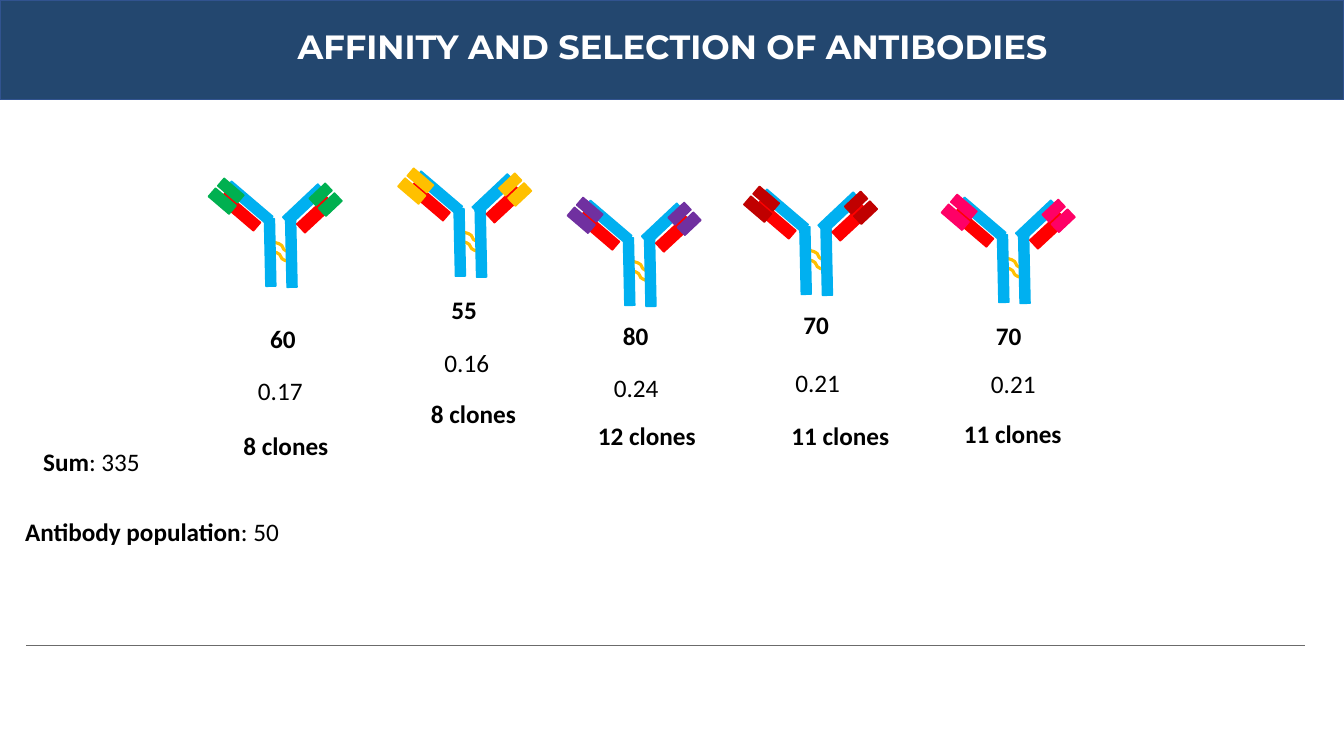
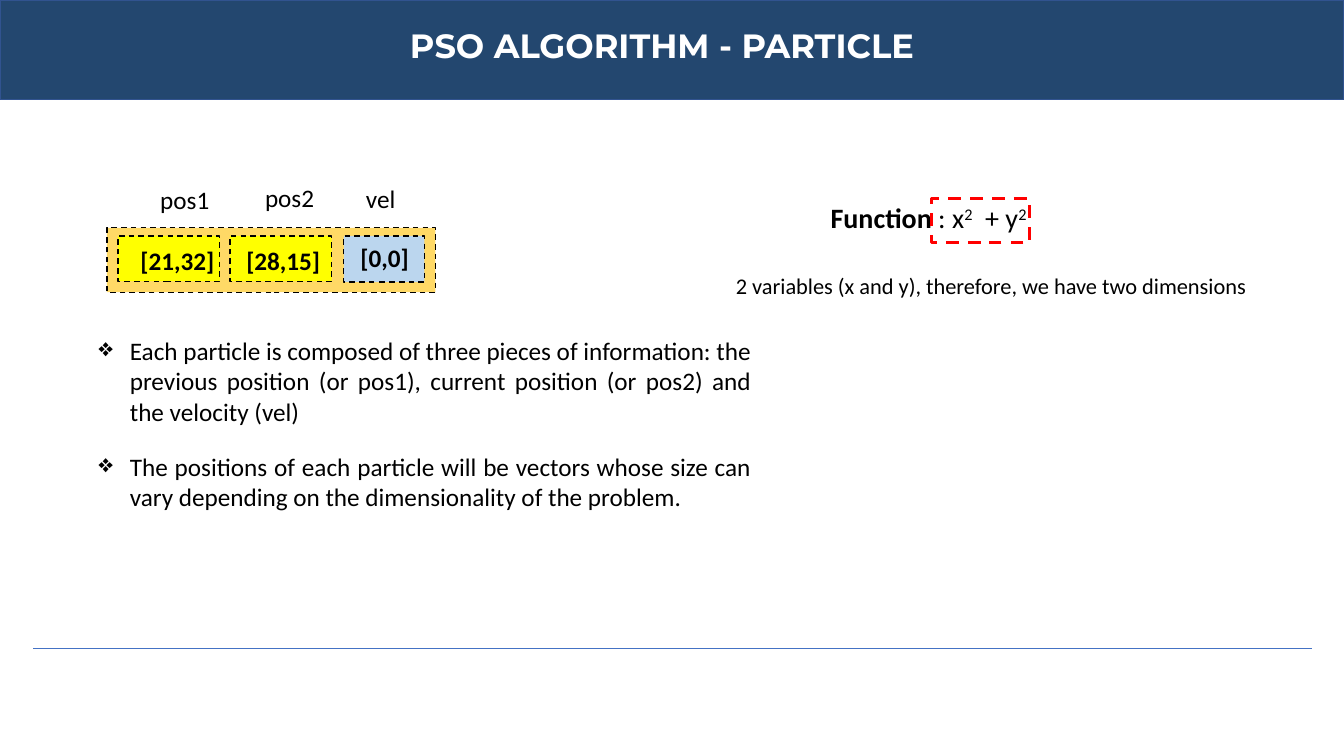
import pptx
import pptx.util
import pptx.dml.color
import pptx.enum.dml
import pptx.enum.shapes
import pptx.enum.text
import pptx.oxml
import pptx.oxml.ns
from lxml import etree

RGB = pptx.dml.color.RGBColor
SHAPE = pptx.enum.shapes.MSO_SHAPE
LINK = pptx.enum.shapes.MSO_CONNECTOR
ALIGN = pptx.enum.text.PP_ALIGN
FIT = pptx.enum.text.MSO_AUTO_SIZE
DASH = pptx.enum.dml.MSO_LINE.DASH
Pt = pptx.util.Pt
qn = pptx.oxml.ns.qn

# Shared look; 100 px to the inch
PX = 9144
NAVY, NAVY_EDGE = RGB(0x23, 0x47, 0x6F), RGB(0x31, 0x53, 0x8F)
BLACK, WHITE = RGB(0, 0, 0), RGB(255, 255, 255)
GREY, BLUE = RGB(0x6B, 0x6B, 0x6B), RGB(0x44, 0x72, 0xC4)
SKY, RED, AMBER = RGB(0, 0xB0, 0xF0), RGB(255, 0, 0), RGB(255, 0xC0, 0)
GREEN, PURPLE = RGB(0, 0xB0, 0x50), RGB(0x70, 0x30, 0xA0)
CRIMSON, PINK = RGB(0xC0, 0, 0), RGB(255, 0, 0x66)
GOLD, YELLOW, PALE = RGB(255, 0xD9, 0x66), RGB(255, 255, 0), RGB(0xBB, 0xD6, 0xEE)
BODY = dict(name="Calibri", size=Pt(18), bold=False)
STRONG = dict(BODY, bold=True)
TITLE = dict(name="Montserrat", size=Pt(24), bold=True)

# Slide 1: antibody parts, relative to the antibody's corner
BONDS = [(51, 75, 76, 86), (53, 66, 78, 77)]
HEAVY_CHAINS = [(48, 43, 10, 67, 358.8), (27, 0, 10, 54, 310.5),
                (69, 44, 10, 67, 358.8), (81, 5, 11, 48, 46.7)]
LIGHT_CHAINS = [(17, 13, 11, 46, 310.5), (92, 19, 12, 40, 227.1)]
TIPS = [(0, 12, 11, 27, 310.5), (9, 2, 10, 26, 310.5),
        (98, 8, 10, 22, 46.7), (107, 18, 11, 22, 46.7)]

# Corner, tip colour, then affinity, share and clones as (text, left, top, width)
ANTIBODIES = [
    ((215, 174), GREEN, ("60", 244, 316, 73), ("0.17", 246, 367, 87),
     ("8 clones", 228, 422, 111)),
    ((403, 164), AMBER, ("55", 424, 287, 73), ("0.16", 431, 340, 87),
     ("8 clones", 414, 390, 111)),
    ((571, 193), PURPLE, ("80", 594, 313, 73), ("0.24", 599, 364, 87),
     ("12 clones", 581, 412, 121)),
    ((746, 182), CRIMSON, ("70", 773, 302, 73), ("0.21", 779, 359, 87),
     ("11 clones", 767, 412, 133)),
    ((942, 190), PINK, ("70", 964, 313, 73), ("0.21", 973, 361, 87),
     ("11 clones", 943, 410, 123)),
]
TOTALS = [("Sum", ": 335", (33, 438, 133, 40)),
          ("Antibody population", ": 50", (15, 507, 324, 40))]

# Slide 2: particle cells and texts
PARTICLE = (106, 226, 326, 64)
CELLS = [  # fill, cell box, value, value box, label, label box, label alignment
    (YELLOW, (117, 234, 101, 45), "[21,32]", (127, 238, 98, 40),
     "pos1", (149, 178, 71, 40), ALIGN.LEFT),
    (YELLOW, (228, 234, 101, 45), "[28,15]", (228, 238, 106, 40),
     "pos2", (253, 176, 71, 40), ALIGN.LEFT),
    (PALE, (341, 234, 80, 46), "[0,0]", (342, 236, 79, 40),
     "vel", (342, 177, 71, 40), ALIGN.CENTER),
]
FUNCTION = [("Function", True, 0), (" : x", False, 0), ("2", False, 30000),
            ("  + y", False, 0), ("2", False, 30000)]
DIMENSIONS = "2 variables (x and y), therefore, we have two dimensions"
POINTS = [
    "Each particle is composed of three pieces of information: the previous "
    "position (or pos1), current position (or pos2) and the velocity (vel)",
    "The positions of each particle will be vectors whose size can vary "
    "depending on the dimensionality of the problem.",
]


def px(*lengths):
    return [pptx.util.Emu(n * PX) for n in lengths]


def style(font, formats, color=BLACK):
    for key, value in formats.items():
        setattr(font, key, value)
    font.color.rgb = color


def rect(parent, box, fill, line, width=1, dash=None, angle=0):
    sp = parent.shapes.add_shape(SHAPE.RECTANGLE, *px(*box))
    sp.shadow.inherit = False
    sp.rotation = angle
    if fill is None:
        sp.fill.background()
    else:
        sp.fill.solid()
        sp.fill.fore_color.rgb = fill
    sp.line.color.rgb = line
    sp.line.width = Pt(width)
    if dash:
        sp.line.dash_style = dash
    return sp


def connector(parent, kind, ends, color, width):
    c = parent.shapes.add_connector(kind, *px(*ends))
    c.line.color.rgb = color
    c.line.width = Pt(width)
    etree.SubElement(c._element.spPr, qn("a:effectLst"))


def text(parent, box, runs, align=ALIGN.LEFT, color=BLACK, fit=FIT.SHAPE_TO_FIT_TEXT):
    """Add a one-paragraph text box; runs are (text, font formats) pairs."""
    tf = parent.shapes.add_textbox(*px(*box)).text_frame
    tf.word_wrap = True
    tf.auto_size = fit
    p = tf.paragraphs[0]
    p.alignment = align
    for words, formats in runs:
        r = p.add_run()
        r.text = words
        style(r.font, formats, color)
    return tf


def base_slide(prs, title, title_box, rule, rule_color):
    s = prs.slides.add_slide(prs.slide_layouts[6])
    rect(s, (0, 0, 1333, 99), NAVY, NAVY_EDGE)
    text(s, title_box, [(title, TITLE)], ALIGN.CENTER, WHITE, FIT.NONE)
    connector(s, LINK.STRAIGHT, rule, rule_color, 0.75)
    return s


def antibody(s, corner, tip_color):
    x, y = corner
    group = s.shapes.add_group_shape()
    for x1, y1, x2, y2 in BONDS:
        connector(group, LINK.CURVE, (x + x1, y + y1, x + x2, y + y2), AMBER, 2.25)
    for parts, color in ((HEAVY_CHAINS, SKY), (LIGHT_CHAINS, RED), (TIPS, tip_color)):
        for left, top, w, h, angle in parts:
            rect(group, (x + left, y + top, w, h), color, color, angle=angle)


def antibodies_slide(prs):
    s = base_slide(prs, "AFFINITY AND SELECTION OF ANTIBODIES",
                   (278, 21, 778, 50), (26, 640, 1294, 640), GREY)
    looks = [(STRONG, ALIGN.CENTER), (BODY, ALIGN.LEFT), (STRONG, ALIGN.CENTER)]
    for corner, color, *labels in ANTIBODIES:
        antibody(s, corner, color)
        for (words, left, top, w), (formats, align) in zip(labels, looks):
            text(s, (left, top, w, 40), [(words, formats)], align)
    for name, value, box in TOTALS:
        text(s, box, [(name, STRONG), (value, BODY)])


def bullet_list(s, box, points):
    tf = text(s, box, [])
    for i, point in enumerate(points):
        p = tf.add_paragraph() if i else tf.paragraphs[0]
        p.alignment = ALIGN.JUSTIFY
        if i:
            p.space_before = Pt(18)
        pPr = p._p.get_or_add_pPr()
        pPr.set("marL", str(31 * PX))
        pPr.set("indent", str(-31 * PX))
        etree.SubElement(pPr, qn("a:buChar")).set("char", "❖")
        r = p.add_run()
        r.text = point
        style(r.font, BODY)


def particle_slide(prs):
    s = base_slide(prs, "PSO ALGORITHM - PARTICLE",
                   (214, 20, 885, 50), (33, 643, 1301, 643), BLUE)
    # Particle
    group = s.shapes.add_group_shape()
    rect(group, PARTICLE, GOLD, BLACK, dash=DASH)
    for fill, box, value, value_box, label, label_box, align in CELLS:
        rect(group, box, fill, BLACK, dash=DASH)
        text(group, value_box, [(value, STRONG)], ALIGN.CENTER)
        text(group, label_box, [(label, BODY)], align)
    # Function
    runs = [(t, dict(BODY, size=Pt(20), bold=b)) for t, b, _ in FUNCTION]
    tf = text(s, (814, 194, 220, 44), runs)
    for r, (_, _, baseline) in zip(tf.paragraphs[0].runs, FUNCTION):
        if baseline:
            r._r.get_or_add_rPr().set("baseline", str(baseline))
    text(s, (720, 265, 536, 37), [(DIMENSIONS, dict(BODY, size=Pt(16)))])
    rect(s, (924, 197, 97, 44), None, RED, 2.25, DASH)
    # Explanation
    bullet_list(s, (88, 328, 667, 187), POINTS)


def main():
    prs = pptx.Presentation()
    prs.slide_width, prs.slide_height = px(1333, 750)
    antibodies_slide(prs)
    particle_slide(prs)
    prs.save("out.pptx")


if __name__ == "__main__":
    main()
